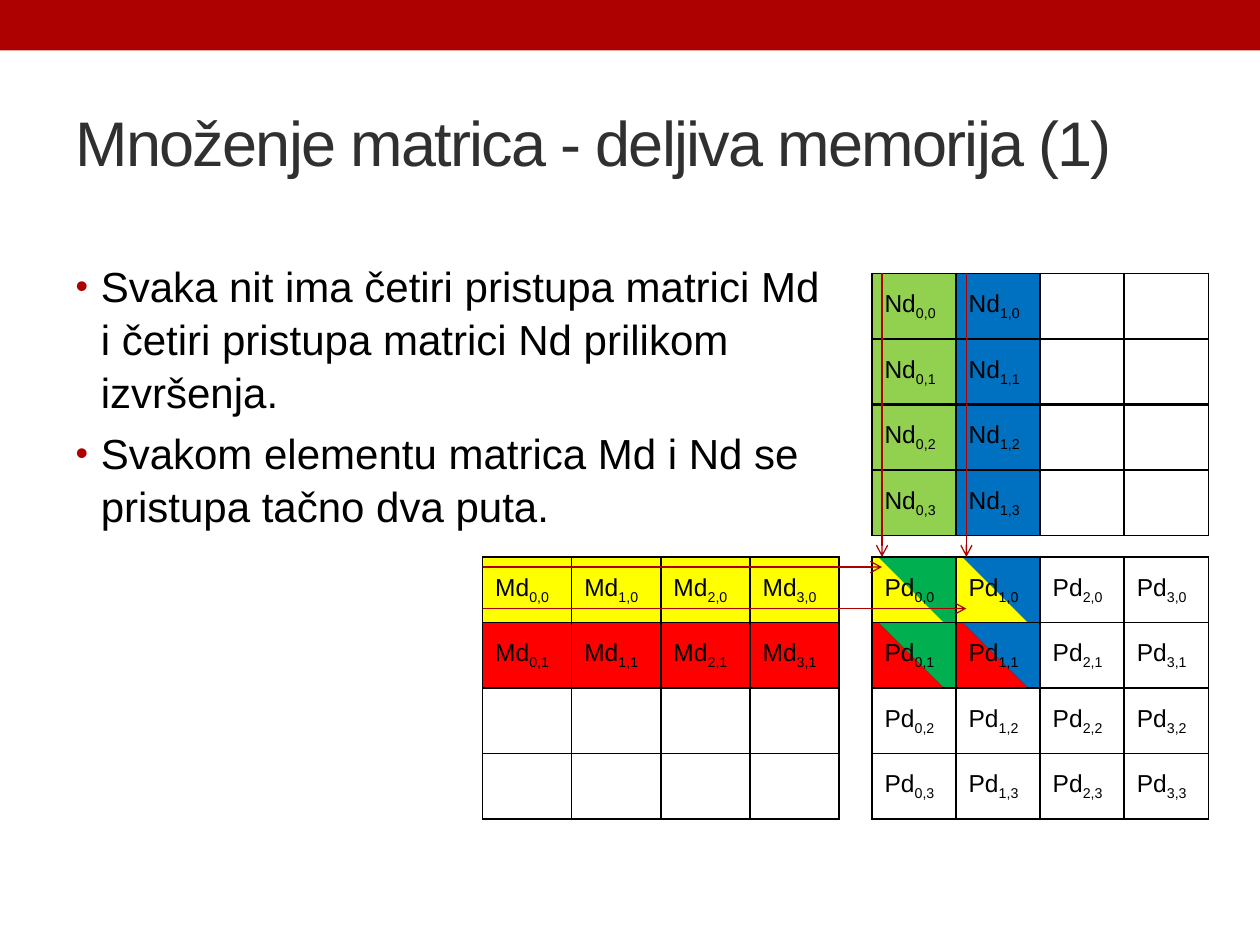
from dataclasses import dataclass

from lxml import etree
from pptx import Presentation
from pptx import util as u
from pptx.dml.color import RGBColor
from pptx.enum import shapes, text
from pptx.oxml import ns


@dataclass(frozen=True)
class Theme:
    font: str = "Arial"
    title_size: int = 36
    body_size: int = 24
    cell_size: int = 14
    accent: str = "AD0101"
    arrow: str = "AE0000"
    title: str = "303030"
    ink: str = "000000"
    white: str = "FFFFFF"
    lime: str = "92D050"
    green: str = "00B050"
    blue: str = "0070C0"
    yellow: str = "FFFF00"
    red: str = "FF0000"


theme = Theme()


def add_run(paragraph, wording, size, color):
    run = paragraph.add_run()
    run.text = wording
    run.font.name = theme.font
    run.font.size = u.Pt(size)
    run.font.color.rgb = RGBColor.from_string(color)
    return run._r.get_or_add_rPr()


def add_node(parent, tag, **attributes):
    return etree.SubElement(parent, ns.qn(tag), attributes)


prs = Presentation()
prs.slide_width, prs.slide_height = u.Inches(10), u.Inches(7.5)
slide = prs.slides.add_slide(prs.slide_layouts[1])

# Top band
band = slide.shapes.add_shape(shapes.MSO_SHAPE.RECTANGLE, 0, 0, prs.slide_width, u.Inches(0.4))
band.shadow.inherit = False
band.fill.solid()
band.fill.fore_color.rgb = RGBColor.from_string(theme.accent)
band.line.fill.background()

# Title
heading = slide.shapes.title
heading.left, heading.top = u.Inches(0.5), u.Inches(0.58)
heading.width, heading.height = u.Inches(9), u.Inches(1.08)
heading.text_frame.vertical_anchor = text.MSO_ANCHOR.MIDDLE
heading.text_frame.auto_size = text.MSO_AUTO_SIZE.NONE
heading_line = heading.text_frame.paragraphs[0]
heading_line.alignment = text.PP_ALIGN.LEFT
add_run(heading_line, "Množenje matrica - deljiva memorija (1)",
        theme.title_size, theme.title).set("spc", "-100")

# Bulleted remarks
remarks = slide.placeholders[1]
remarks.left, remarks.top = u.Inches(0.5), u.Inches(2)
remarks.width, remarks.height = u.Inches(6.17), u.Inches(2.17)
remarks.text_frame.auto_size = text.MSO_AUTO_SIZE.NONE
for i, remark in enumerate([
    "Svaka nit ima četiri pristupa matrici Md i četiri pristupa matrici Nd prilikom izvršenja.",
    "Svakom elementu matrica Md i Nd se pristupa tačno dva puta.",
]):
    frame = remarks.text_frame
    paragraph = frame.add_paragraph() if i else frame.paragraphs[0]
    paragraph.line_spacing = 1.05
    paragraph.space_before = u.Pt(4.8)
    bullet = paragraph._p.get_or_add_pPr()
    bullet.set("marL", str(u.Inches(0.2)))
    bullet.set("indent", str(-u.Inches(0.2)))
    add_node(add_node(bullet, "a:buClr"), "a:srgbClr", val=theme.accent)
    add_node(bullet, "a:buSzPct", val="85000")
    add_node(bullet, "a:buFont", typeface=theme.font)
    add_node(bullet, "a:buChar", char="•")
    add_run(paragraph, remark, theme.body_size, theme.ink)

# Matrices: name, left, top, width, labelled columns, labelled rows, fills by (column, row);
# a pair of colours splits the cell diagonally
column_colors = [theme.lime, theme.blue]
row_colors = [theme.yellow, theme.red]
product_colors = [theme.green, theme.blue]
matrices = [
    ("Nd", 6.92, 2.17, 2.67, 2, 4,
     {(c, r): [column_colors[c]] for c in range(2) for r in range(4)}),
    ("Md", 3.83, 4.42, 2.83, 4, 2,
     {(c, r): [row_colors[r]] for c in range(4) for r in range(2)}),
    ("Pd", 6.92, 4.42, 2.67, 4, 4,
     {(c, r): [row_colors[r], product_colors[c]] for c in range(2) for r in range(2)}),
]
SIZE = 4
for name, left, top, width, labelled_columns, labelled_rows, fills in matrices:
    matrix = slide.shapes.add_table(SIZE, SIZE, u.Inches(left), u.Inches(top),
                                    u.Inches(width), u.Inches(2.08)).table
    matrix.first_row = matrix.horz_banding = False
    for c in range(SIZE):
        matrix.columns[c].width = u.Inches(width / SIZE)
        for r in range(SIZE):
            cell = matrix.cell(r, c)
            cell.vertical_anchor = text.MSO_ANCHOR.MIDDLE
            if c < labelled_columns and r < labelled_rows:
                label = cell.text_frame.paragraphs[0]
                add_run(label, name, theme.cell_size, theme.ink)
                add_run(label, f"{c},{r}", theme.cell_size, theme.ink).set("baseline", "-25000")

            colors = fills.get((c, r), [theme.white])
            if len(colors) == 2:
                cell.fill.gradient()
                cell.fill.gradient_angle = 45
                for stop, color, position in zip(cell.fill.gradient_stops, colors, (0.48, 0.49)):
                    stop.color.rgb = RGBColor.from_string(color)
                    stop.position = position
            else:
                cell.fill.solid()
                cell.fill.fore_color.rgb = RGBColor.from_string(colors[0])

            # The lines that part the 2 x 2 tiles are heavier
            properties = cell._tc.get_or_add_tcPr()
            heavy_sides = {"L": c == 2, "R": c == 1, "T": r == 2, "B": r == 1}
            for order, (side, heavy) in enumerate(heavy_sides.items()):
                border = add_node(properties, f"a:ln{side}", w=str(u.Pt(1.5 if heavy else 1)))
                add_node(add_node(border, "a:solidFill"), "a:srgbClr", val=theme.ink)
                properties.insert(order, border)

# Reading order along the rows of Md and the columns of Nd
for x1, y1, x2, y2 in [
    (3.83, 4.5, 7, 4.5),
    (3.83, 4.83, 7.67, 4.83),
    (7, 2.17, 7, 4.42),
    (7.67, 2.17, 7.67, 4.42),
]:
    access = slide.shapes.add_connector(shapes.MSO_CONNECTOR.STRAIGHT, u.Inches(x1),
                                        u.Inches(y1), u.Inches(x2), u.Inches(y2))
    access.line.color.rgb = RGBColor.from_string(theme.arrow)
    access.line.width = u.Pt(0.75)
    add_node(access.line._get_or_add_ln(), "a:tailEnd", type="arrow")
    add_node(access._element.spPr, "a:effectLst")

prs.save("out.pptx")
